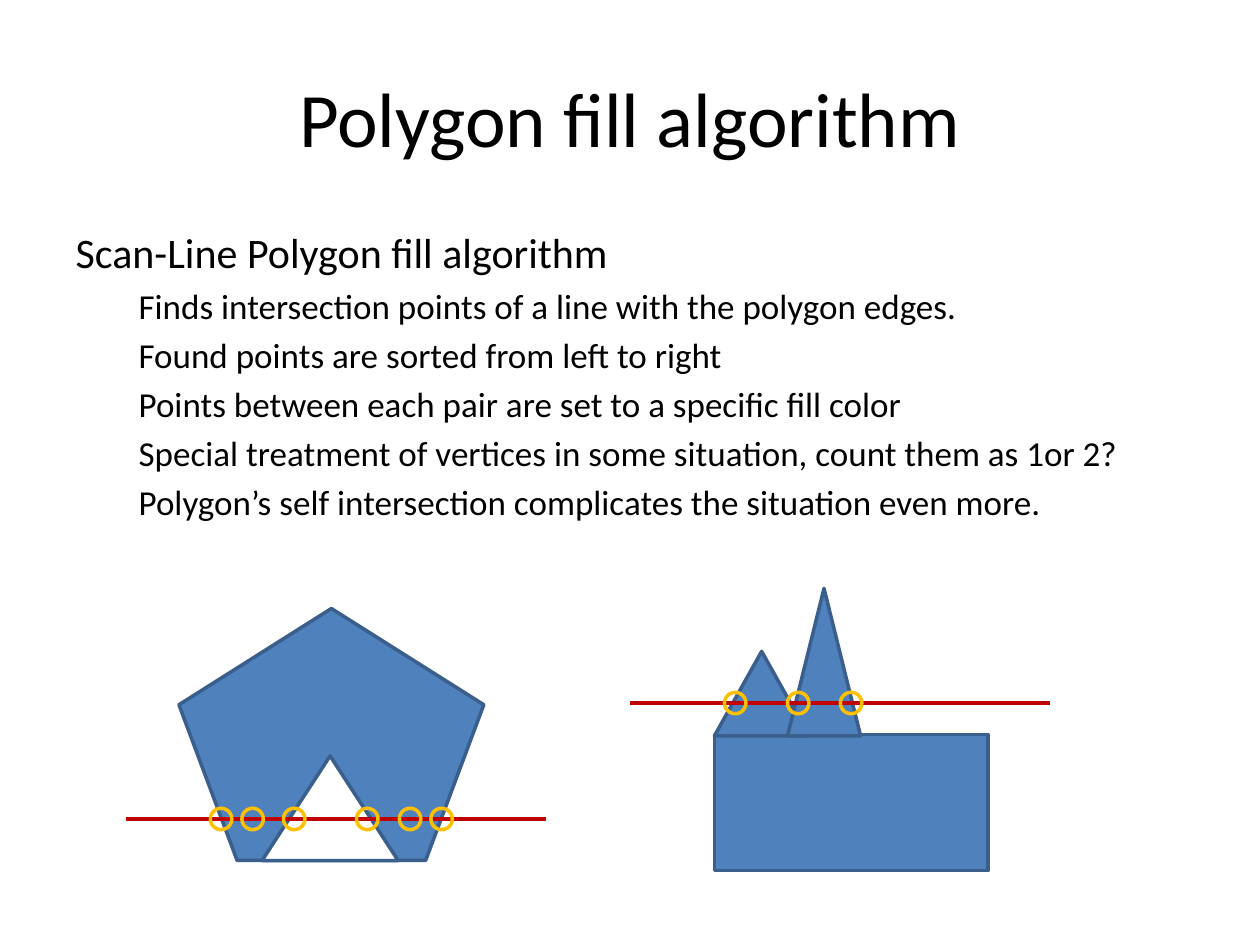
import pptx
import pptx.util
import pptx.dml.color
import pptx.enum.shapes
import pptx.enum.text
import pptx.oxml.ns
from lxml import etree

Inches = pptx.util.Inches
Kind = pptx.enum.shapes.MSO_SHAPE
Align = pptx.enum.text.PP_ALIGN
Anchor = pptx.enum.text.MSO_ANCHOR
COLORS = {"text": "000000", "fill": "4F81BD", "edge": "3A5F8C",
          "hole": "FFFFFF", "scan": "C00000", "mark": "FFC000"}
HEAD = "Scan-Line Polygon fill algorithm"
POINTS = [
    "Finds intersection points of a line with the polygon edges.",
    "Found points are sorted from left to right",
    "Points between each pair are set to a specific fill color",
    "Special treatment of vertices in some situation, count them as 1or 2?",
    "Polygon’s self intersection complicates the situation even more.",
]
MARK = 0.17


def color(name):
    return pptx.dml.color.RGBColor.from_string(COLORS[name])


def write(para, text, size=20, level=0, align=Align.LEFT):
    para.level = level
    para.alignment = align
    run = para.add_run()
    run.text = text
    run.font.size = pptx.util.Pt(size)
    run.font.name = "Calibri"
    run.font.color.rgb = color("text")


def place(holder, left, top, width, height):
    holder.left, holder.top = Inches(left), Inches(top)
    holder.width, holder.height = Inches(width), Inches(height)


def plain(para):
    etree.SubElement(para._p.get_or_add_pPr(), pptx.oxml.ns.qn("a:buNone"))


def stroke(item, name):
    item.line.color.rgb = color(name)
    item.line.width = pptx.util.Pt(2)


def shape(parent, kind, box, fill=None, edge="edge"):
    item = parent.shapes.add_shape(kind, *map(Inches, box))
    item.shadow.inherit = False
    if fill:
        item.fill.solid()
        item.fill.fore_color.rgb = color(fill)
    else:
        item.fill.background()
    stroke(item, edge)


def figure(slide, parts):
    group = slide.shapes.add_group_shape()
    for kind, box, fill in parts:
        shape(group, kind, box, fill)


def scan(slide, left, level, marks):
    line = slide.shapes.add_connector(
        pptx.enum.shapes.MSO_CONNECTOR.STRAIGHT,
        Inches(left), Inches(level), Inches(left + 3.33), Inches(level))
    stroke(line, "scan")
    etree.SubElement(line._element.spPr, pptx.oxml.ns.qn("a:effectLst"))
    for mark in marks:
        shape(slide, Kind.OVAL, (mark, level - MARK / 2, MARK, MARK),
              edge="mark")


def main():
    deck = pptx.Presentation()
    deck.slide_width, deck.slide_height = Inches(10), Inches(7.5)
    slide = deck.slides.add_slide(deck.slide_layouts[1])

    title = slide.shapes.title
    place(title, 0.5, 0.3, 9, 1.25)
    title.text_frame.vertical_anchor = Anchor.MIDDLE
    write(title.text_frame.paragraphs[0], "Polygon fill algorithm",
          size=44, align=Align.CENTER)

    body = slide.placeholders[1]
    place(body, 0.5, 1.75, 9, 4.95)
    frame = body.text_frame
    write(frame.paragraphs[0], HEAD, size=24)
    for point in POINTS:
        write(frame.add_paragraph(), point, level=1)
    for para in frame.paragraphs:
        plain(para)

    figure(slide, [
        (Kind.REGULAR_PENTAGON, (1.42, 4.83, 2.42, 2), "fill"),
        (Kind.ISOSCELES_TRIANGLE, (2.08, 6, 1.08, 0.83), "hole"),
    ])
    scan(slide, 1, 6.5, [1.67, 1.92, 2.25, 2.83, 3.17, 3.42])

    figure(slide, [
        (Kind.RECTANGLE, (5.67, 5.83, 2.17, 1.08), "fill"),
        (Kind.ISOSCELES_TRIANGLE, (5.67, 5.17, 0.75, 0.67), "fill"),
        (Kind.ISOSCELES_TRIANGLE, (6.25, 4.67, 0.58, 1.17), "fill"),
    ])
    scan(slide, 5, 5.58, [5.75, 6.25, 6.67])
    deck.save("out.pptx")


main()
